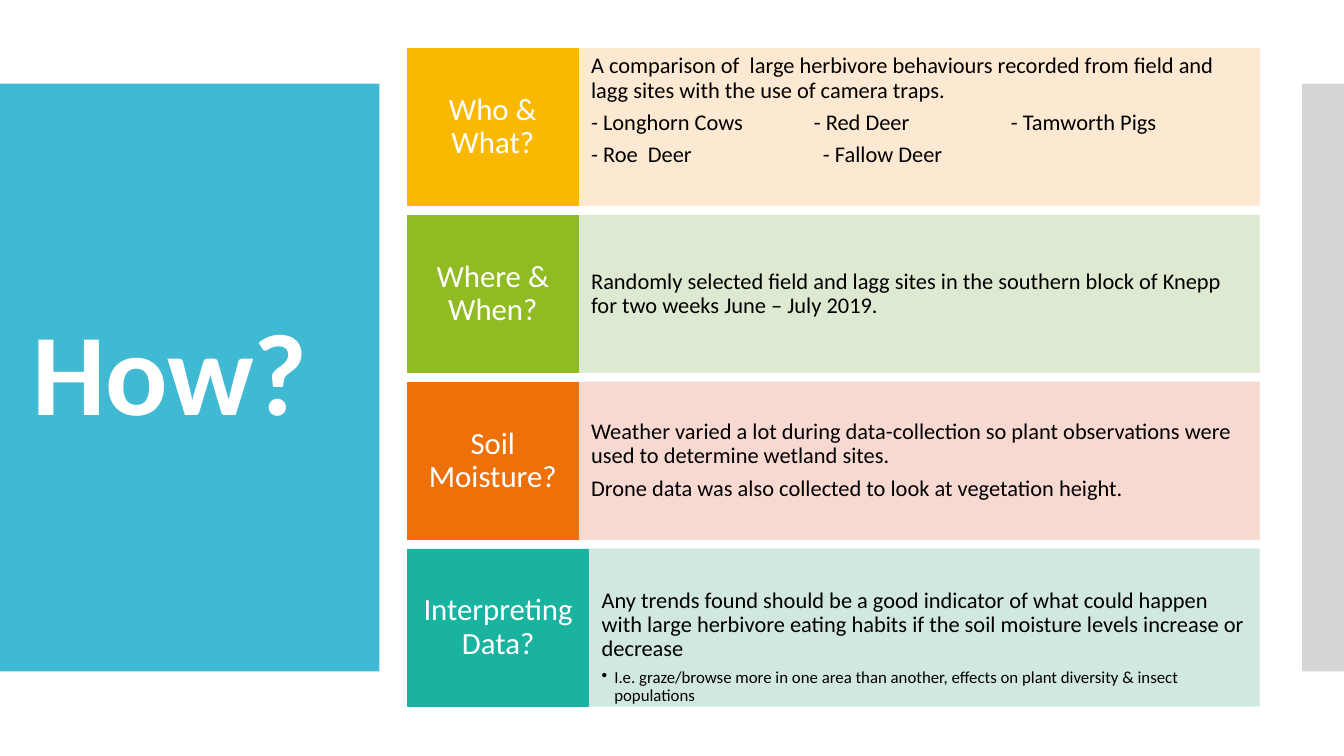
"""Builds the "How?" slide: a side title and four question rows."""
from lxml import etree
from pptx import Presentation
from pptx import util as u
from pptx.dml import color
from pptx.enum import shapes, text
from pptx.oxml import ns

WIDE, HIGH = 26.67, 15
LEFT, RIGHT = 8.09, 24.99
TOP, STEP, TALL = 0.96, 3.31, 3.12
BAND = 1.66, 11.66
FACE = "Calibri"
MID = text.MSO_ANCHOR.MIDDLE

ROWS = [
    ("Who & What?", "FAB900", "FDE6CC", 3.38, [
        "A comparison of  large herbivore behaviours recorded from field and "
        "lagg sites with the use of camera traps.",
        ("- Longhorn Cows\t- Red Deer\t- Tamworth Pigs", (4.42, 8.33)),
        ("- Roe  Deer\t- Fallow Deer", (4.6,))]),
    ("Where & When?", "90BB23", "DBE7CD", 3.38, [
        "Randomly selected field and lagg sites in the southern block of Knepp "
        "for two weeks June – July 2019."]),
    ("Soil Moisture?", "EE7008", "F8D5CC", 3.38, [
        "Weather varied a lot during data-collection so plant observations were "
        "used to determine wetland sites.",
        "Drone data was also collected to look at vegetation height."]),
    ("Interpreting Data?", "1AB39F", "CDE5DF", 3.59, [
        "Any trends found should be a good indicator of what could happen with "
        "large herbivore eating habits if the soil moisture levels increase or "
        "decrease"]),
]
NOTE = ("I.e. graze/browse more in one area than another, effects on plant "
        "diversity & insect populations")


def rgb(code):
    """Turn a hex string into a colour."""
    return color.RGBColor.from_string(code)


def paint(fmt, code, alpha):
    """Give a fill a solid colour with a share of opacity."""
    fmt.solid()
    fmt.fore_color.rgb = rgb(code)
    if alpha < 100:
        node = fmt._xPr.find(".//" + ns.qn("a:srgbClr"))
        etree.SubElement(node, ns.qn("a:alpha")).set("val", str(alpha * 1000))


def block(slide, box, code, alpha=100, edge=False):
    """Add a flat rectangle."""
    shape = slide.shapes.add_shape(
        shapes.MSO_SHAPE.RECTANGLE, *[u.Inches(v) for v in box])
    shape.shadow.inherit = False
    paint(shape.fill, code, alpha)
    if edge:
        shape.line.width = u.Pt(0.85)
        paint(shape.line.fill, code, alpha)
    else:
        shape.line.fill.background()
    return shape


def frame(shape, side, top, foot, anchor):
    """Set the insets and anchor of a shape's text."""
    body = shape.text_frame
    body.word_wrap = True
    body.margin_left = body.margin_right = u.Inches(side)
    body.margin_top, body.margin_bottom = u.Inches(top), u.Inches(foot)
    body.vertical_anchor = anchor
    return body


def write(para, words, size, code, align=text.PP_ALIGN.LEFT, after=0, tabs=(),
          bullet=False):
    """Fill and format one paragraph."""
    para.text = words
    para.alignment, para.line_spacing = align, 0.9
    para.space_after = u.Pt(after)
    props = para._p.get_or_add_pPr()
    if bullet:
        props.set("marL", str(u.Inches(0.25)))
        props.set("indent", str(u.Inches(-0.25)))
        etree.SubElement(props, ns.qn("a:buChar")).set("char", "•")
    if tabs:
        stops = etree.SubElement(props, ns.qn("a:tabLst"))
        for pos in tabs:
            stop = etree.SubElement(stops, ns.qn("a:tab"))
            stop.set("pos", str(u.Inches(pos)))
            stop.set("algn", "l")
    font = para.font
    font.name, font.size, font.color.rgb = FACE, u.Pt(size), rgb(code)


def row(slide, rank, label, dark, pale, wide, lines):
    """Add one question label with its answer panel."""
    top = TOP + rank * STEP
    start = LEFT + wide
    panel = block(slide, (start, top, RIGHT - start, TALL), pale, 90, True)
    first, last = rank == 0, rank == len(ROWS) - 1
    body = frame(panel, 0.26, 0.12 if first else 0.79, 0 if first else 0.79,
                 text.MSO_ANCHOR.TOP if first or last else MID)
    for i, line in enumerate(lines):
        words, tabs = (line, ()) if isinstance(line, str) else line
        para = body.add_paragraph() if i else body.paragraphs[0]
        write(para, words, 32, "000000", after=11.2, tabs=tabs)
    if last:
        write(body.add_paragraph(), NOTE, 24, "000000", bullet=True)
    head = block(slide, (LEFT, top, wide, TALL), dark, edge=True)
    write(frame(head, 0.18, 0.31, 0.31, MID).paragraphs[0], label, 44,
          "FFFFFF", text.PP_ALIGN.CENTER)


def heading(slide, words):
    """Place the title on top of its panel."""
    title = slide.shapes.title
    title.left, title.top = u.Inches(0.55), u.Inches(2.46)
    title.width, title.height = u.Inches(6.45), u.Inches(10.06)
    para = frame(title, 0.1, 0.05, 0.05, MID).paragraphs[0]
    write(para, words, 166, "FFFFFF")
    para.font.bold = True
    para.runs[0]._r.get_or_add_rPr().set("spc", "-60")
    slide.shapes._spTree.append(title._element)


def main():
    """Build and save the slide."""
    deck = Presentation()
    deck.slide_width, deck.slide_height = u.Inches(WIDE), u.Inches(HIGH)
    slide = deck.slides.add_slide(deck.slide_layouts[5])
    top, tall = BAND
    block(slide, (0, top, 7.53, tall), "40BAD2")
    block(slide, (WIDE - 0.83, top, 0.83, tall), "C8C8C8", 75)
    heading(slide, "How?")
    for rank, item in enumerate(ROWS):
        row(slide, rank, *item)
    deck.save("out.pptx")


if __name__ == "__main__":
    main()
